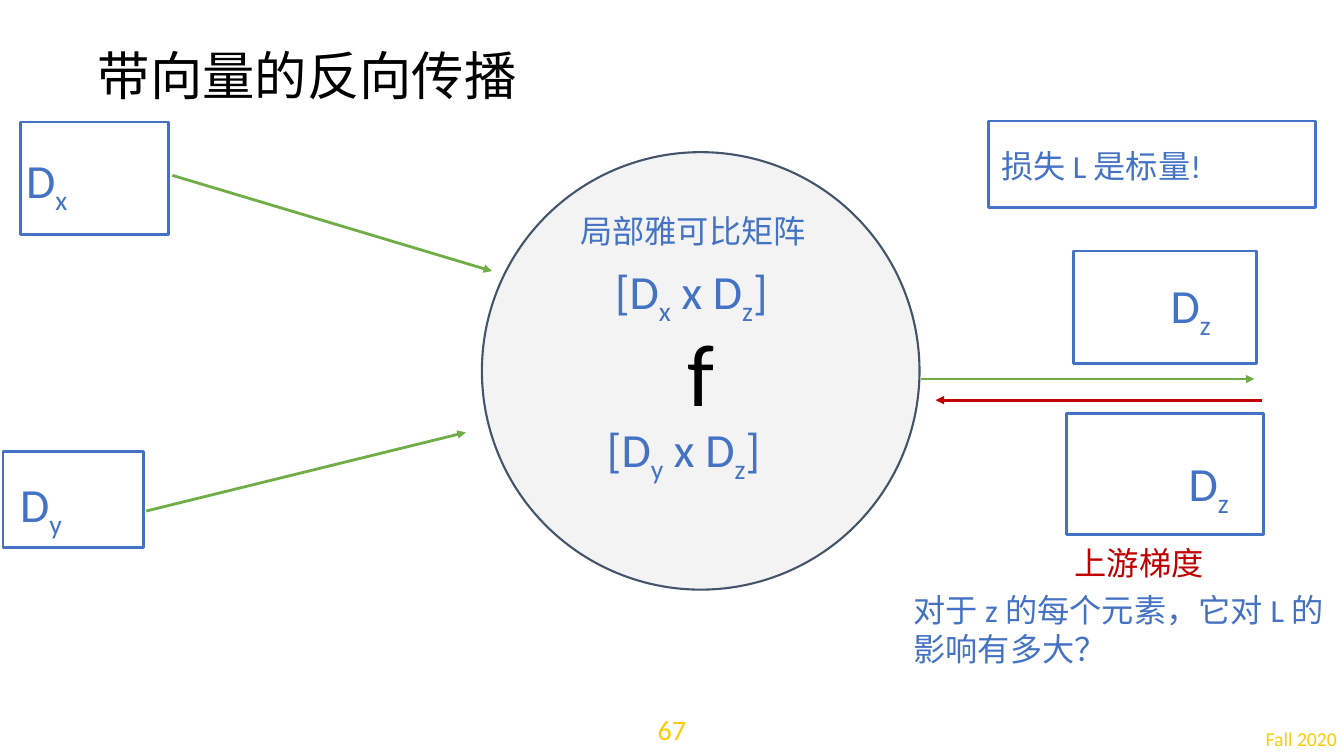
"""Build the slide on backpropagation with vectors on a grid of 1333 columns by 750 rows."""
from lxml import etree
from pptx import Presentation
from pptx.dml.color import RGBColor
from pptx.enum.shapes import MSO_CONNECTOR, MSO_SHAPE
from pptx.enum.text import MSO_ANCHOR, PP_ALIGN
from pptx.oxml.ns import qn
from pptx.util import Inches, Pt

BLUE = RGBColor(0x44, 0x72, 0xC4)
SLATE = RGBColor(0x44, 0x54, 0x6A)
GREEN = RGBColor(0x70, 0xAD, 0x47)
RED = RGBColor(0xC0, 0x00, 0x00)
YELLOW = RGBColor(0xFF, 0xCB, 0x05)
BLACK = RGBColor(0x00, 0x00, 0x00)
PALE = RGBColor(0xF3, 0xF3, 0xF3)
LEFT, CENTER, RIGHT = PP_ALIGN.LEFT, PP_ALIGN.CENTER, PP_ALIGN.RIGHT
TOP, MIDDLE = MSO_ANCHOR.TOP, MSO_ANCHOR.MIDDLE
RECTANGLE, OVAL = MSO_SHAPE.RECTANGLE, MSO_SHAPE.OVAL
STRAIGHT = MSO_CONNECTOR.STRAIGHT

deck = Presentation()
deck.slide_width, deck.slide_height = Inches(13.33), Inches(7.5)
page = deck.slides.add_slide(deck.slide_layouts[6])
column, row = deck.slide_width / 1333, deck.slide_height / 750


def on_grid(left, top, width, height):
    """Turn grid columns and rows into slide lengths."""
    return int(left * column), int(top * row), int(width * column), int(height * row)


def add_text(text, place, size=23, color=BLUE, align=LEFT, anchor=TOP,
             inset=0.13, wrap=True, spacing=1.0):
    """Add a text box; every second part between underscores is a subscript."""
    box = page.shapes.add_textbox(*on_grid(*place))
    frame = box.text_frame
    frame.word_wrap, frame.vertical_anchor = wrap, anchor
    frame.margin_left = frame.margin_right = Inches(inset)
    frame.margin_top = frame.margin_bottom = Inches(inset)
    para = frame.paragraphs[0]
    para.alignment, para.line_spacing = align, spacing
    for index, part in enumerate(text.split("_")):
        if part:
            span = para.add_run()
            span.text = part
            span.font.name, span.font.size = "Calibri", Pt(size)
            span.font.color.rgb = color
            if index % 2:
                span.font._element.set("baseline", "-25000")


outlines = [
    (OVAL, (478, 151, 434, 434), SLATE, 1.5),
    (RECTANGLE, (20, 121, 147, 112), BLUE, 2),
    (RECTANGLE, (3, 448, 139, 95), BLUE, 2),
    (RECTANGLE, (1065, 249, 181, 112), BLUE, 2),
    (RECTANGLE, (1058, 410, 195, 120), BLUE, 2),
    (RECTANGLE, (980, 120, 325, 86), BLUE, 2),
]
for kind, place, color, weight in outlines:
    outline = page.shapes.add_shape(kind, *on_grid(*place))
    outline.shadow.inherit = False
    outline.line.color.rgb, outline.line.width = color, Pt(weight)
    if kind == OVAL:
        outline.fill.solid()
        outline.fill.fore_color.rgb = PALE
    else:
        outline.fill.background()

arrows = [
    ((171, 174, 488, 269), GREEN),
    ((145, 507, 462, 429), GREEN),
    ((913, 376, 1244, 376), GREEN),
    ((1252, 397, 928, 397), RED),
]
for ends, color in arrows:
    arrow = page.shapes.add_connector(STRAIGHT, *on_grid(*ends))
    arrow.line.color.rgb, arrow.line.width = color, Pt(2)
    outline_xml = arrow.line._get_or_add_ln()
    etree.SubElement(outline_xml, qn("a:tailEnd"), type="triangle")
    etree.SubElement(arrow._element.spPr, qn("a:effectLst"))

add_text("带向量的反向传播", (92, 40, 534, 75), size=37.4, color=BLACK,
         anchor=MIDDLE, inset=0.05, spacing=0.9)
add_text("f", (542, 304, 307, 128), size=63, color=BLACK, align=CENTER, anchor=MIDDLE)

dimensions = [
    ("D_x_", 13, 137, 80),
    ("D_y_", 7, 458, 80),
    ("D_z_", 1148, 261, 80),
    ("D_z_", 1166, 437, 80),
    ("[D_x_ x D_z_]", 597, 247, 208),
    ("[D_y_ x D_z_]", 589, 404, 208),
]
for label, left, top, width in dimensions:
    add_text(label, (left, top, width, 91), size=34)

add_text("局部雅可比矩阵", (551, 197, 273, 65), align=CENTER)
add_text("损失 L 是标量!", (980, 131, 325, 66), anchor=MIDDLE)
add_text("上游梯度", (937, 526, 386, 66), color=RED, align=CENTER)
add_text("对于 z 的每个元素，它对 L 的影响有多大？", (893, 572, 434, 104), anchor=MIDDLE)
add_text("67", (646, 702, 41, 42), size=20, color=YELLOW, align=CENTER,
         anchor=MIDDLE, inset=0.05, wrap=False)
add_text("Fall 2020", (1066, 716, 265, 32), size=14, color=YELLOW, align=RIGHT, inset=0.05)

deck.save("out.pptx")
